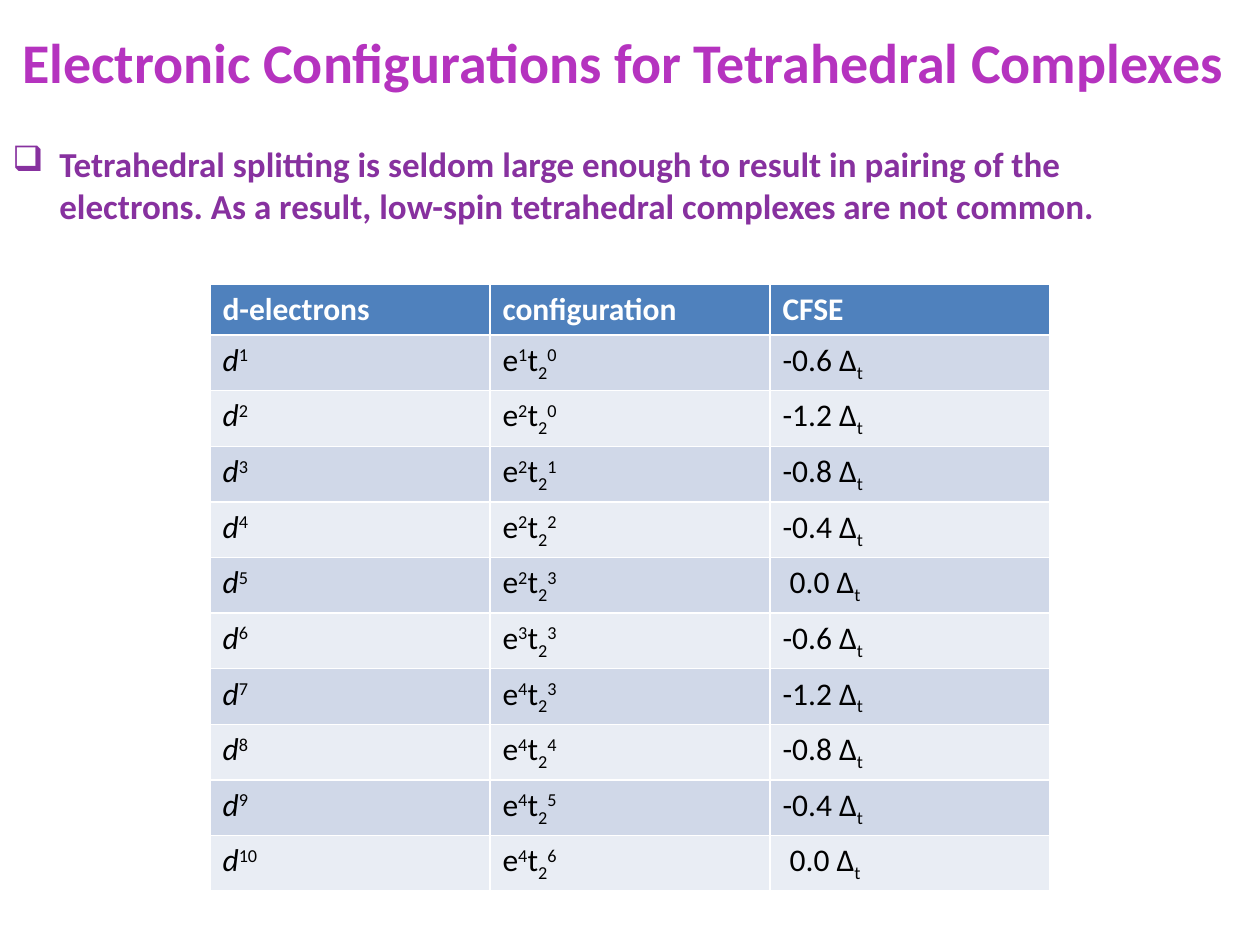
from lxml import etree
from pptx import Presentation
from pptx.dml.color import RGBColor
from pptx.enum.text import MSO_AUTO_SIZE, PP_ALIGN
from pptx.oxml.ns import qn
from pptx.util import Pt

GROW = MSO_AUTO_SIZE.SHAPE_TO_FIT_TEXT
CENTER = PP_ALIGN.CENTER
LEFT = PP_ALIGN.LEFT

FONT = "Calibri"
COLORS = {
    "title": "B533BF",
    "point": "87319F",
    "header": "4F81BD",
    "band_dark": "D0D8E8",
    "band_light": "E9EDF4",
    "white": "FFFFFF",
    "black": "000000",
}
SUPER, SUB = 30000, -25000

HEADERS = ["d-electrons", "configuration", "CFSE"]
# d electrons, e electrons, t2 electrons, stabilisation energy
CONFIGS = [
    (1, 1, 0, "-0.6"),
    (2, 2, 0, "-1.2"),
    (3, 2, 1, "-0.8"),
    (4, 2, 2, "-0.4"),
    (5, 2, 3, " 0.0"),
    (6, 3, 3, "-0.6"),
    (7, 4, 3, "-1.2"),
    (8, 4, 4, "-0.8"),
    (9, 4, 5, "-0.4"),
    (10, 4, 6, " 0.0"),
]


def px(n):
    return round(n * 914400 / 126)


def rgb(name):
    return RGBColor.from_string(COLORS[name])


def add_run(p, text, size=18, color="black", bold=False, italic=False, base=0):
    r = p.add_run()
    r.text = text
    r.font.name = FONT
    r.font.size = Pt(size)
    r.font.color.rgb = rgb(color)
    r.font.bold = bold
    r.font.italic = italic
    if base:
        r.font._element.set("baseline", str(base))


def add_text_box(s, box, text, wrap=True, align=LEFT, **fmt):
    tf = s.shapes.add_textbox(*map(px, box)).text_frame
    tf.word_wrap = wrap
    tf.auto_size = GROW
    p = tf.paragraphs[0]
    p.alignment = align
    add_run(p, text, **fmt)
    return p


def add_bullet(p, char, indent):
    pPr = p._p.get_or_add_pPr()
    pPr.set("marL", str(px(indent)))
    pPr.set("indent", str(-px(indent)))
    etree.SubElement(pPr, qn("a:buChar")).set("char", char)


def add_title(s, box):
    add_text_box(s, box, "Electronic Configurations for Tetrahedral Complexes ",
                 wrap=False, align=CENTER, size=32, color="title", bold=True)


def add_point(s, box):
    p = add_text_box(
        s, box,
        "Tetrahedral splitting is seldom large enough to result in pairing of the "
        "electrons. As a result, low-spin tetrahedral complexes are not common.",
        size=20, color="point", bold=True)
    add_bullet(p, "❑", 47)


def fill_cell(cell, fill, parts, **fmt):
    """Write (text, extra format) parts into a filled cell."""
    cell.fill.solid()
    cell.fill.fore_color.rgb = rgb(fill)
    for text, extra in parts:
        add_run(cell.text_frame.paragraphs[0], text, **fmt, **extra)


def add_config_table(s, box):
    # The default table style supplies the white cell borders
    table = s.shapes.add_table(len(CONFIGS) + 1, len(HEADERS), *map(px, box)).table
    for col, text in enumerate(HEADERS):
        fill_cell(table.cell(0, col), "header", [(text, {})],
                  color="white", bold=True)

    sup, sub = {"base": SUPER}, {"base": SUB}
    for row, (d, e, t2, energy) in enumerate(CONFIGS, start=1):
        fill = "band_dark" if row % 2 else "band_light"
        cells = [
            [("d", {"italic": True}), (str(d), sup)],
            [("e", {}), (str(e), sup), ("t", {}), ("2", sub), (str(t2), sup)],
            [(f"{energy} Δ", {}), ("t", sub)],
        ]
        for col, parts in enumerate(cells):
            fill_cell(table.cell(row, col), fill, parts)


def main():
    prs = Presentation()
    prs.slide_width, prs.slide_height = px(1260), px(945)
    s = prs.slides.add_slide(prs.slide_layouts[6])
    add_title(s, (4, 21, 1251, 81))
    add_point(s, (0, 136, 1200, 97))
    add_config_table(s, (210, 284, 840, 562))
    prs.save("out.pptx")


if __name__ == "__main__":
    main()
